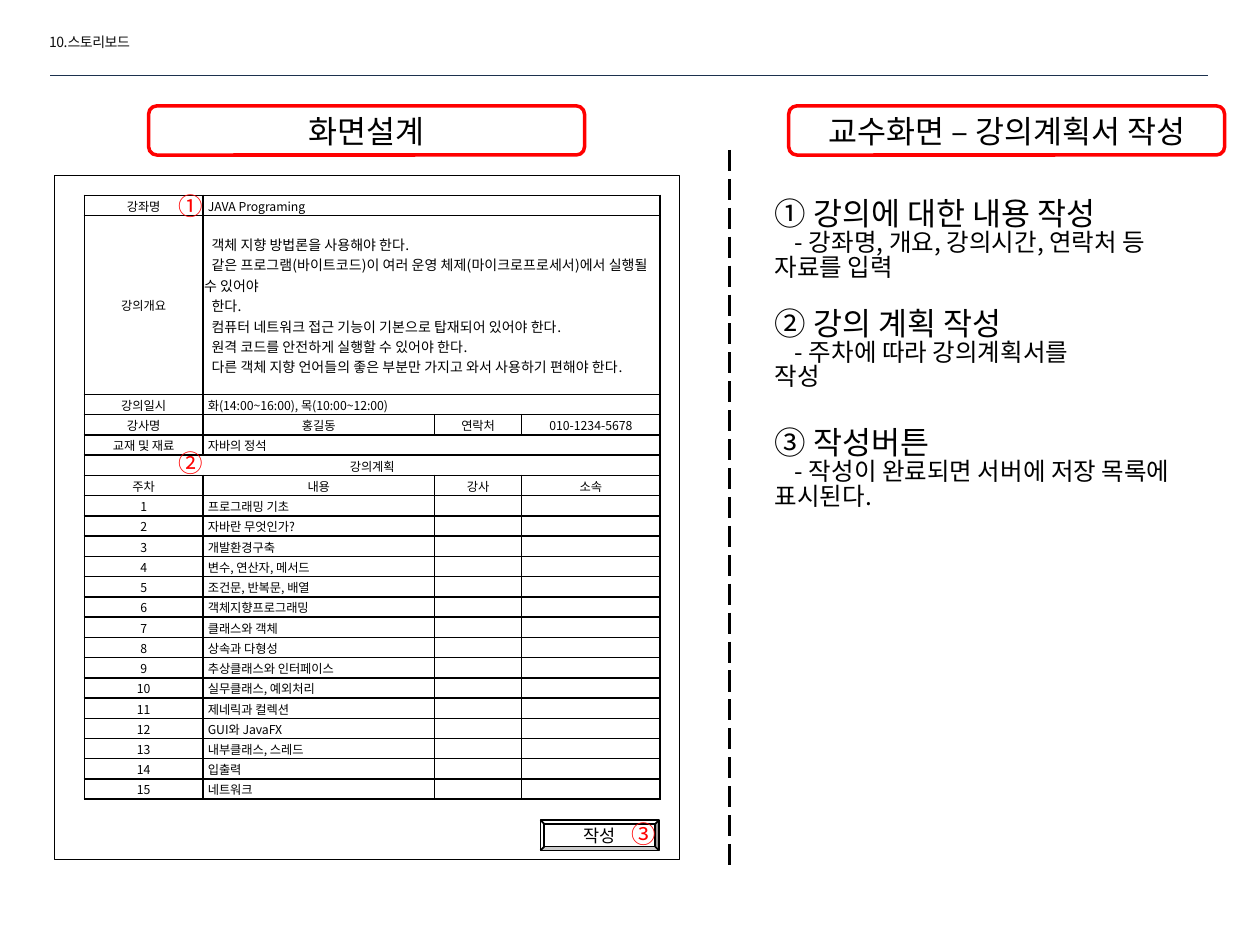
from dataclasses import dataclass

from pptx import Presentation
from pptx.dml.color import RGBColor
from pptx.enum.dml import MSO_LINE
from pptx.enum.shapes import MSO_CONNECTOR, MSO_SHAPE
from pptx.enum.text import MSO_ANCHOR, PP_ALIGN
from pptx.oxml import parse_xml
from pptx.oxml.ns import nsdecls
from pptx.oxml.xmlchemy import OxmlElement
from pptx.util import Emu, Pt

PX = 9144
LEFT, CENTER = PP_ALIGN.LEFT, PP_ALIGN.CENTER
TOP, MIDDLE = MSO_ANCHOR.TOP, MSO_ANCHOR.MIDDLE
ROUNDED, RECTANGLE, BEVEL = (MSO_SHAPE.ROUNDED_RECTANGLE, MSO_SHAPE.RECTANGLE,
                             MSO_SHAPE.BEVEL)
STRAIGHT = MSO_CONNECTOR.STRAIGHT
LONG_DASH = MSO_LINE.LONG_DASH


@dataclass(frozen=True)
class Theme:
    font: str = "Noto Sans CJK KR"
    black: str = "000000"
    white: str = "FFFFFF"
    red: str = "FF0000"
    navy: str = "1C314E"
    title_ink: str = "0D0D0D"
    heading: int = 18
    body: int = 14
    button: int = 10
    small: int = 8
    cell: int = 7


def px(length):
    return Emu(round(length * PX))


class Storyboard:
    def __init__(self, page, theme):
        self.page = page
        self.theme = theme

    def set_text(self, para, text, size, color, align=LEFT, indent=0, spacing=None):
        para.text = text
        para.alignment = align
        if spacing:
            para.line_spacing = spacing
        if indent:
            para._p.get_or_add_pPr().set("indent", str(px(indent)))
        for span in para.runs:
            span.font.name = self.theme.font
            span.font.size = Pt(size)
            span.font.color.rgb = RGBColor.from_string(color)
            properties = span._r.get_or_add_rPr()
            east_asian = OxmlElement("a:ea")
            east_asian.set("typeface", self.theme.font)
            properties.append(east_asian)
        if not text:
            ending = OxmlElement("a:endParaRPr")
            ending.set("sz", str(size * 100))
            para._p.append(ending)

    def title(self, text, left, top, width, height):
        box = self.page.shapes.title
        box.left, box.top, box.width, box.height = map(px, (left, top, width, height))
        box.text_frame.vertical_anchor = MIDDLE
        box.text_frame.word_wrap = True
        para = box.text_frame.paragraphs[0]
        self.set_text(para, text, self.theme.small, self.theme.title_ink)
        para.runs[0]._r.get_or_add_rPr().set("spc", "-30")

    def shape(self, kind, left, top, width, height, color, weight, text="",
              size=0, fill=None):
        box = self.page.shapes.add_shape(kind, *map(px, (left, top, width, height)))
        box.shadow.inherit = False
        if fill:
            box.fill.solid()
            box.fill.fore_color.rgb = RGBColor.from_string(fill)
        else:
            box.fill.background()
        box.line.color.rgb = RGBColor.from_string(color)
        box.line.width = Pt(weight)
        if text:
            box.text_frame.vertical_anchor = MIDDLE
            self.set_text(box.text_frame.paragraphs[0], text, size, self.theme.black, CENTER)

    def line(self, left, top, right, bottom, color, weight, dash=None):
        line = self.page.shapes.add_connector(
            STRAIGHT, *map(px, (left, top, right, bottom)))
        line.line.color.rgb = RGBColor.from_string(color)
        line.line.width = Pt(weight)
        if dash:
            line.line.dash_style = dash
        line._element.spPr.append(OxmlElement("a:effectLst"))

    def text_box(self, left, top, width, height):
        box = self.page.shapes.add_textbox(*map(px, (left, top, width, height)))
        frame = box.text_frame
        frame.word_wrap = True
        frame.vertical_anchor = TOP
        return frame

    def marker(self, text, left, top):
        frame = self.text_box(left, top, 38, 34)
        self.set_text(frame.paragraphs[0], text, self.theme.body, self.theme.red, spacing=0.9)

    def note(self, heading, detail, top, width):
        frame = self.text_box(605, top, width, 64)
        frame.margin_right = px(8)
        ink = self.theme.black
        self.set_text(frame.paragraphs[0], heading, self.theme.heading, ink, spacing=0.84)
        self.set_text(frame.add_paragraph(), detail, self.theme.body, ink,
                      indent=16, spacing=0.84)

    def cell(self, cell, text, align, size, indent):
        cell.vertical_anchor = MIDDLE
        cell.margin_left = cell.margin_right = cell.margin_top = px(1)
        cell.margin_bottom = 0
        for position, line in enumerate(text.split("\n")):
            frame = cell.text_frame
            para = frame.add_paragraph() if position else frame.paragraphs[0]
            self.set_text(para, line, size, self.theme.black, align, indent)
        properties = cell._tc.get_or_add_tcPr()
        for side in ("lnL", "lnR", "lnT", "lnB"):
            properties.append(parse_xml(
                f'<a:{side} {nsdecls("a")} w="12700"><a:solidFill>'
                f'<a:srgbClr val="{self.theme.black}"/></a:solidFill></a:{side}>'))
        cell.fill.background()

    def table(self, rows, left, top, columns, heights, tall_row):
        table = self.page.shapes.add_table(
            len(rows), len(columns),
            *map(px, (left, top, sum(columns), sum(heights)))).table
        table.first_row = table.horz_banding = False
        for column, width in zip(table.columns, columns):
            column.width = px(width)
        for row, height in zip(table.rows, heights):
            row.height = px(height)
        last = len(columns) - 1
        for number, texts in enumerate(rows):
            if len(texts) <= last:
                table.cell(number, len(texts) - 1).merge(table.cell(number, last))
            centered = len(texts) == 1 or (len(texts) > 2 and texts[-1])
            for column in range(len(columns)):
                text = texts[column] if column < len(texts) else ""
                align = CENTER if column == 0 or centered else LEFT
                tall = number == tall_row and column > 0
                indent = 0 if align == CENTER else 6 if tall else 3
                size = self.theme.small if tall else self.theme.cell
                self.cell(table.cell(number, column), text, align, size, indent)


OVERVIEW = """객체 지향 방법론을 사용해야 한다.
같은 프로그램(바이트코드)이 여러 운영 체제(마이크로프로세서)에서 실행될 수 있어야
한다.
컴퓨터 네트워크 접근 기능이 기본으로 탑재되어 있어야 한다.
원격 코드를 안전하게 실행할 수 있어야 한다.
다른 객체 지향 언어들의 좋은 부분만 가지고 와서 사용하기 편해야 한다."""
COURSE = [
    ["강좌명", "JAVA Programing"],
    ["강의개요", OVERVIEW],
    ["강의일시", "화(14:00~16:00), 목(10:00~12:00)"],
    ["강사명", "홍길동", "연락처", "010-1234-5678"],
    ["교재 및 재료", "자바의 정석"],
    ["강의계획"],
    ["주차", "내용", "강사", "소속"],
]
WEEKS = ["프로그래밍 기초", "자바란 무엇인가?", "개발환경구축", "변수, 연산자, 메서드",
         "조건문, 반복문, 배열", "객체지향프로그래밍", "클래스와 객체", "상속과 다형성",
         "추상클래스와 인터페이스", "실무클래스, 예외처리", "제네릭과 컬렉션",
         "GUI와 JavaFX", "내부클래스, 스레드", "입출력", "네트워크"]
MARKERS = [("①", 132, 149), ("②", 132, 353), ("③", 491, 648)]
NOTES = [
    ("① 강의에 대한 내용 작성", "- 강좌명, 개요, 강의시간, 연락처 등 자료를 입력", 154, 349),
    ("② 강의 계획 작성", "- 주차에 따라 강의계획서를 작성", 241, 261),
    ("③ 작성버튼", "- 작성이 완료되면 서버에 저장 목록에 표시된다.", 336, 355),
]


def main():
    deck = Presentation()
    deck.slide_width, deck.slide_height = px(1000), px(750)
    theme = Theme()
    board = Storyboard(deck.slides.add_slide(deck.slide_layouts[5]), theme)

    board.title("10.스토리보드", 29, 21, 173, 24)
    board.shape(BEVEL, 429, 651, 94, 24, theme.black, 1, "작성", theme.button, theme.white)
    board.line(579, 119, 579, 690, theme.black, 1.5, LONG_DASH)
    for text, left in (("교수화면 – 강의계획서 작성", 626), ("화면설계", 118)):
        board.shape(ROUNDED, left, 84, 346, 39, theme.red, 2, text, theme.heading)
    board.shape(RECTANGLE, 43, 139, 496, 543, theme.black, 0.25)

    rows = COURSE + [[str(week), topic, "", ""] for week, topic in enumerate(WEEKS, 1)]
    tall_row, tall_height = 1, 142
    heights = [(480 - tall_height) / (len(rows) - 1)] * len(rows)
    heights[tall_row] = tall_height
    board.table(rows, 67, 155, [94, 184, 69, 110], heights, tall_row)

    for marker in MARKERS:
        board.marker(*marker)
    for note in NOTES:
        board.note(*note)
    board.line(40, 60, 959, 60, theme.navy, 0.25)
    deck.save("out.pptx")


if __name__ == "__main__":
    main()
